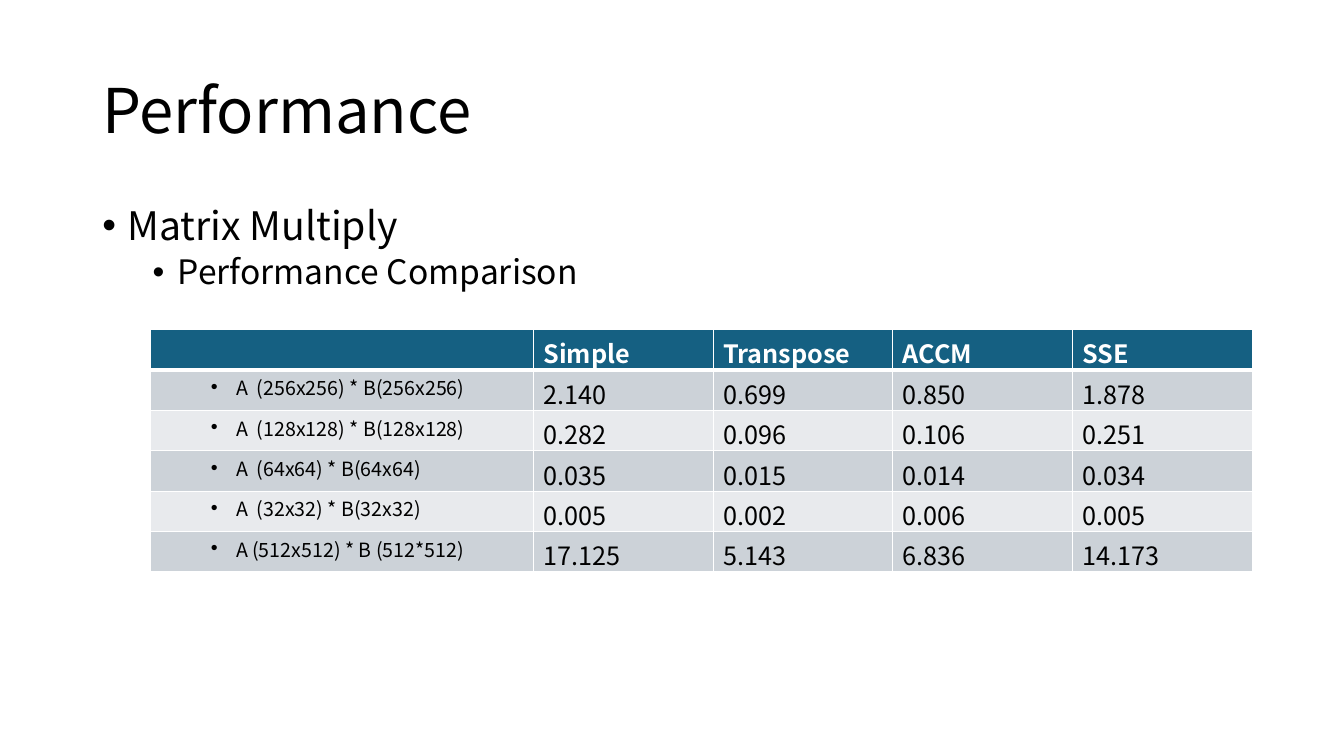
"""Build the slide that compares matrix multiply timings."""
from dataclasses import dataclass

from lxml import etree
from pptx import Presentation
from pptx.dml.color import RGBColor
from pptx.enum.text import MSO_ANCHOR
from pptx.oxml.ns import qn
from pptx.util import Inches, Pt

MIDDLE = MSO_ANCHOR.MIDDLE
TOP = MSO_ANCHOR.TOP
FONT = "Noto Sans CJK KR"
BLACK, WHITE, HEAD = "000000", "FFFFFF", "156082"
BANDS = ("CCD2D8", "E8EAED")
COLS, ROWS = 160, 90
WIDTHS = (45.6, 21.4, 21.4, 21.4, 21.4)
ROW = 4.8


@dataclass
class Line:
    """A paragraph with its size, look and bullet indent in inches."""
    text: str
    size: int
    color: str = BLACK
    bold: bool = False
    indent: float = 0
    level: int = 0
    before: int = 0
    tight: bool = True


@dataclass
class Box:
    """A text box placed in grid columns and rows."""
    left: float
    top: float
    width: float
    height: float
    anchor: MSO_ANCHOR
    lines: list[Line]


BOXES = [
    Box(11, 4.8, 138, 17.4, MIDDLE, [Line("Performance", 44)]),
    Box(11, 24, 138, 13, TOP, [
        Line("Matrix Multiply", 28, indent=0.25, before=10),
        Line("Performance Comparison", 24, indent=0.75, level=1, before=5),
    ]),
]
NAMES = ("", "Simple", "Transpose", "ACCM", "SSE")
TIMES = [
    ("A  (256x256) * B(256x256)", "2.140", "0.699", "0.850", "1.878"),
    ("A  (128x128) * B(128x128)", "0.282", "0.096", "0.106", "0.251"),
    ("A  (64x64) * B(64x64)", "0.035", "0.015", "0.014", "0.034"),
    ("A  (32x32) * B(32x32)", "0.005", "0.002", "0.006", "0.005"),
    ("A (512x512) * B (512*512)", "17.125", "5.143", "6.836", "14.173"),
]


def cells(count: float) -> int:
    """Turn grid cells of a twelfth of an inch into a length."""
    return Inches(count / 12)


def color(code: str) -> RGBColor:
    """Turn a hex string into a colour."""
    return RGBColor.from_string(code)


def write(para, line: Line) -> None:
    """Fill one paragraph."""
    para.text = line.text
    para.level = line.level
    para.space_before = Pt(line.before)
    if line.tight:
        para.line_spacing = 0.9
    if line.indent:
        props = para._p.get_or_add_pPr()
        props.set("marL", str(Inches(line.indent)))
        props.set("indent", str(-Inches(0.25)))
        face = etree.SubElement(props, qn("a:buFont"))
        face.set("typeface", "Arial")
        etree.SubElement(props, qn("a:buChar")).set("char", "•")
    font = para.font
    font.name, font.size, font.bold = FONT, Pt(line.size), line.bold
    font.color.rgb = color(line.color)


def add_box(slide, box: Box) -> None:
    """Draw one text box."""
    spots = (box.left, box.top, box.width, box.height)
    frame = slide.shapes.add_textbox(*map(cells, spots)).text_frame
    frame.word_wrap = True
    frame.vertical_anchor = box.anchor
    for num, line in enumerate(box.lines):
        write(frame.add_paragraph() if num else frame.paragraphs[0], line)


def edge(cell, side: str, width: int) -> None:
    """Draw one white border of a cell."""
    line = etree.SubElement(cell._tc.get_or_add_tcPr(), qn(f"a:ln{side}"))
    line.set("w", str(Pt(width)))
    fill = etree.SubElement(line, qn("a:solidFill"))
    etree.SubElement(fill, qn("a:srgbClr")).set("val", WHITE)


def dress(row: int, col: int, text: str) -> tuple[Line, str]:
    """Choose the text look and the fill of a table cell."""
    if row == 0:
        return Line(text, 18, WHITE, True, tight=False), HEAD
    fill = BANDS[(row - 1) % 2]
    if col == 0:
        return Line(text, 14, indent=0.75, level=1), fill
    return Line(text, 18, tight=False), fill


def add_times(slide) -> None:
    """Draw the table of timings."""
    data = [NAMES, *TIMES]
    spots = (17.9, 39.25, sum(WIDTHS), ROW * len(data))
    table = slide.shapes.add_table(
        len(data), len(NAMES), *map(cells, spots)).table
    for column, width in zip(table.columns, WIDTHS):
        column.width = cells(width)
    for row, texts in enumerate(data):
        for col, text in enumerate(texts):
            cell = table.cell(row, col)
            line, fill = dress(row, col, text)
            write(cell.text_frame.paragraphs[0], line)
            for side in "LRTB":
                thick = (row, side) in ((0, "B"), (1, "T"))
                edge(cell, side, 3 if thick else 1)
            cell.fill.solid()
            cell.fill.fore_color.rgb = color(fill)


def main() -> None:
    """Build and save the slide."""
    deck = Presentation()
    deck.slide_width, deck.slide_height = cells(COLS), cells(ROWS)
    slide = deck.slides.add_slide(deck.slide_layouts[6])
    for box in BOXES:
        add_box(slide, box)
    add_times(slide)
    deck.save("out.pptx")


if __name__ == "__main__":
    main()
